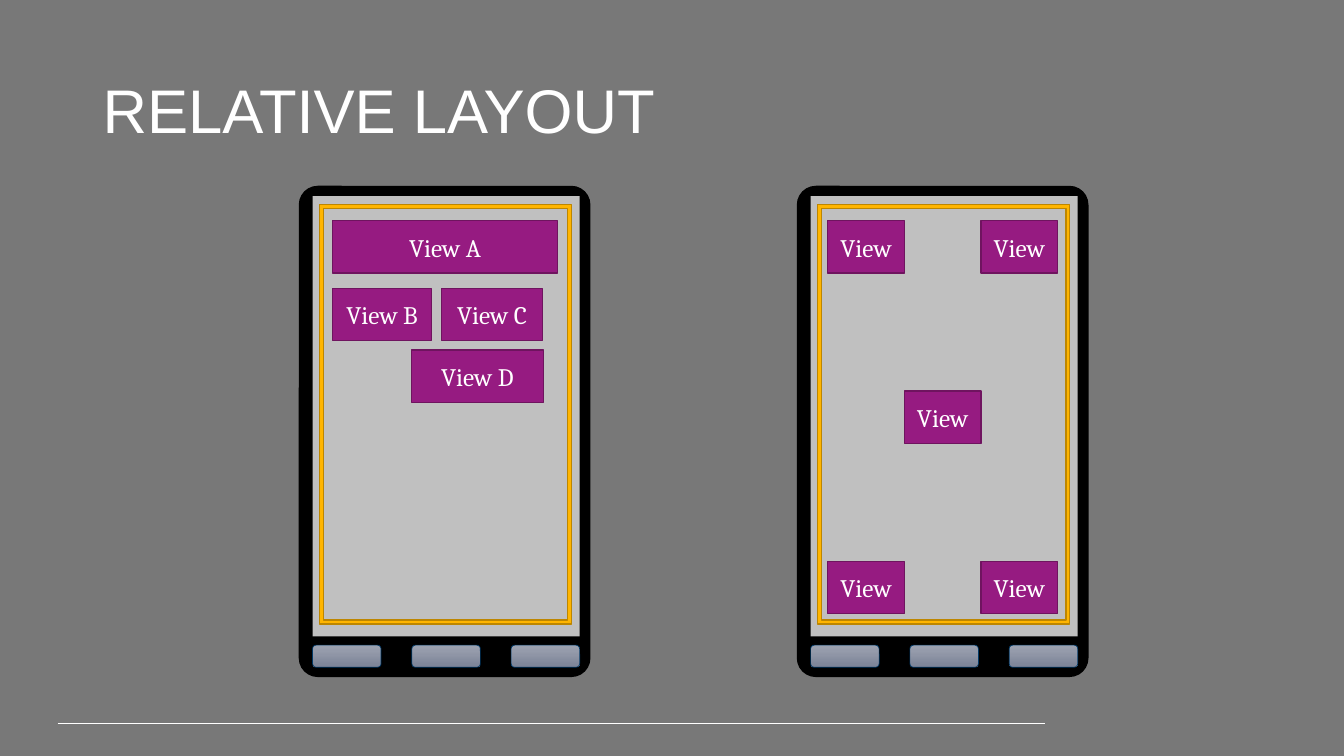
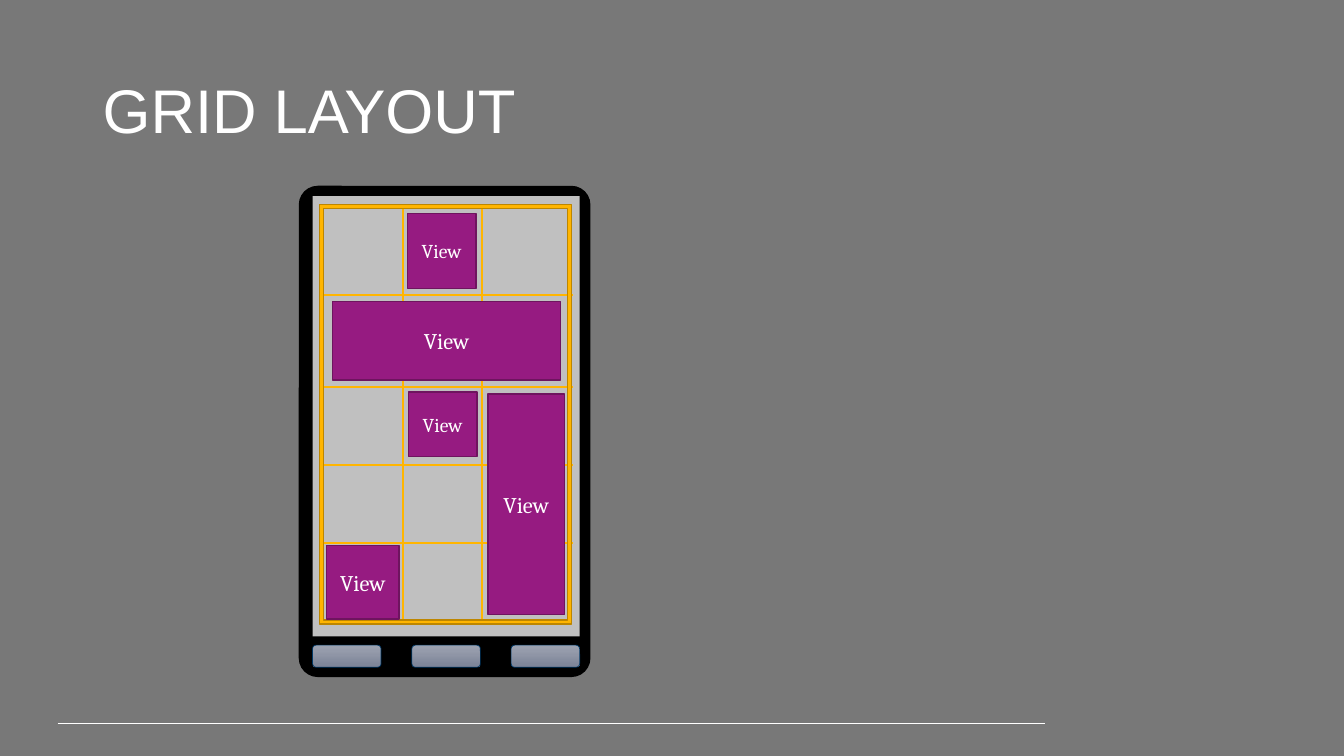
from dataclasses import dataclass

from lxml import etree
from pptx import Presentation
from pptx import util as u
from pptx.dml.color import RGBColor
from pptx.enum import shapes, text
from pptx.oxml import ns


@dataclass(frozen=True)
class Theme:
    back: str = "787878"
    light: str = "FFFFFF"
    body: str = "000000"
    screen: str = "C0C0C0"
    key_top: str = "9DA3B1"
    key_bottom: str = "7C8397"
    key_edge: str = "003865"
    view: str = "961B81"
    view_edge: str = "6F145F"
    frame: str = "FFB500"
    frame_edge: str = "BD8600"
    title_font: str = "Arial"
    view_font: str = "Cambria"
    title_size: int = 44
    view_size: int = 18
    cell_size: int = 16
    small_size: int = 14


@dataclass(frozen=True)
class Area:
    left: float
    top: float
    width: float
    height: float

    def share(self, x, y, w, h):
        """Sub-area given in percent of this area."""
        return Area(self.left + self.width * x / 100,
                    self.top + self.height * y / 100,
                    self.width * w / 100, self.height * h / 100)

    def box(self):
        return [u.Inches(v) for v in (self.left, self.top, self.width, self.height)]


THEME = Theme()
SLIDE = Area(0, 0, 13.33, 7.5)
LEFT_PHONE = SLIDE.share(22.28, 24.67, 21.6, 64.8)
RIGHT_PHONE = SLIDE.share(59.34, 24.67, 21.6, 64.8)
SHAPE = shapes.MSO_SHAPE


def rgb(value):
    return RGBColor.from_string(value)


def add_box(parent, kind, area, fill=None, edge=None, weight=1, adj=None):
    sp = parent.shapes.add_shape(kind, *area.box())
    sp.shadow.inherit = False
    if adj is not None:
        sp.adjustments[0] = adj
    if fill:
        sp.fill.solid()
        sp.fill.fore_color.rgb = rgb(fill)
    if edge:
        sp.line.color.rgb = rgb(edge)
        sp.line.width = u.Pt(weight)
    else:
        sp.line.fill.background()
    return sp


def add_line(s, area, color, weight):
    left, top, width, height = area.box()
    line = s.shapes.add_connector(shapes.MSO_CONNECTOR.STRAIGHT,
                                  left, top, left + width, top + height)
    line.line.color.rgb = rgb(color)
    line.line.width = u.Pt(weight)
    etree.SubElement(line._element.spPr, ns.qn("a:effectLst"))


def add_run(p, wording, font, size):
    r = p.add_run()
    r.text = wording
    r.font.name = font
    r.font.size = u.Pt(size)
    r.font.color.rgb = rgb(THEME.light)


def add_slide(prs, title):
    s = prs.slides.add_slide(prs.slide_layouts[6])
    add_line(s, SLIDE.share(4.28, 95.73, 73.44, 0), THEME.light, 0.75)
    tf = s.shapes.add_textbox(*SLIDE.share(6.9, 5.33, 86.27, 19.33).box()).text_frame
    tf.word_wrap = True
    tf.vertical_anchor = text.MSO_ANCHOR.MIDDLE
    p = tf.paragraphs[0]
    p.line_spacing = 0.9
    add_run(p, title, THEME.title_font, THEME.title_size)
    return s


def add_phone(s, phone):
    group = s.shapes.add_group_shape()
    add_box(group, SHAPE.ROUNDED_RECTANGLE, phone, THEME.body, THEME.body, adj=0.063)
    add_box(group, SHAPE.RECTANGLE, phone.share(4.51, 1.95, 92.01, 89.92), THEME.screen)
    for i in range(3):
        key = add_box(group, SHAPE.ROUNDED_RECTANGLE,
                      phone.share(4.51 + 34.2 * i, 93.62, 23.61, 4.53),
                      edge=THEME.key_edge, weight=0.5)
        key.fill.gradient()
        key.fill.gradient_angle = 270
        for stop, color in zip(key.fill.gradient_stops,
                               (THEME.key_top, THEME.key_bottom)):
            stop.color.rgb = rgb(color)
    return phone.share(6.94, 3.7, 86.81, 85.6)


def add_frame(s, area):
    add_box(s, SHAPE.FRAME, area, THEME.frame, THEME.frame_edge, adj=0.015)


def add_view(s, area, label="View", size=THEME.view_size):
    sp = add_box(s, SHAPE.RECTANGLE, area, THEME.view, THEME.view_edge)
    tf = sp.text_frame
    tf.margin_left = tf.margin_right = 0
    tf.vertical_anchor = text.MSO_ANCHOR.MIDDLE
    p = tf.paragraphs[0]
    p.alignment = text.PP_ALIGN.CENTER
    add_run(p, label, THEME.view_font, size)


def relative_slide(prs):
    s = add_slide(prs, "RELATIVE LAYOUT")
    row_height = 12.5

    area = add_phone(s, LEFT_PHONE)
    for label, x, y, w in (("View A", 5.2, 3.85, 89.2),
                           ("View B", 5.2, 19.95, 39.2),
                           ("View C", 48.4, 19.95, 40),
                           ("View D", 36.4, 34.62, 52.4)):
        add_view(s, area.share(x, y, w, row_height), label)
    add_frame(s, area)

    area = add_phone(s, RIGHT_PHONE)
    for col, row in ((0, 0), (0, 2), (1, 1), (2, 0), (2, 2)):
        add_view(s, area.share(4 + 30.4 * col, 3.85 + 40.6 * row, 30.4, row_height))
    add_frame(s, area)


def grid_slide(prs):
    s = add_slide(prs, "GRID LAYOUT")
    area = add_phone(s, LEFT_PHONE)
    for x in (33.2, 64.4):
        add_line(s, area.share(x, 0, 0, 100), THEME.frame, 1.5)
    for y in (21.63, 43.51, 62.02, 80.77):
        add_line(s, area.share(0.5, y, 100, 0), THEME.frame, 1.5)
    for place, size in (((34.8, 2.16, 27.2, 17.79), THEME.small_size),
                        ((5.2, 23.08, 90.4, 18.75), THEME.cell_size),
                        ((35.2, 44.71, 27.2, 15.38), THEME.small_size),
                        ((66.8, 45.19, 30.4, 52.64), THEME.cell_size)):
        add_view(s, area.share(*place), size=size)
    add_frame(s, area)
    add_view(s, area.share(2.8, 81.25, 28.8, 17.55), size=THEME.cell_size)


def main():
    prs = Presentation()
    prs.slide_width = u.Inches(SLIDE.width)
    prs.slide_height = u.Inches(SLIDE.height)
    fill = prs.slide_master.background.fill
    fill.solid()
    fill.fore_color.rgb = rgb(THEME.back)
    relative_slide(prs)
    grid_slide(prs)
    prs.save("out.pptx")


if __name__ == "__main__":
    main()
